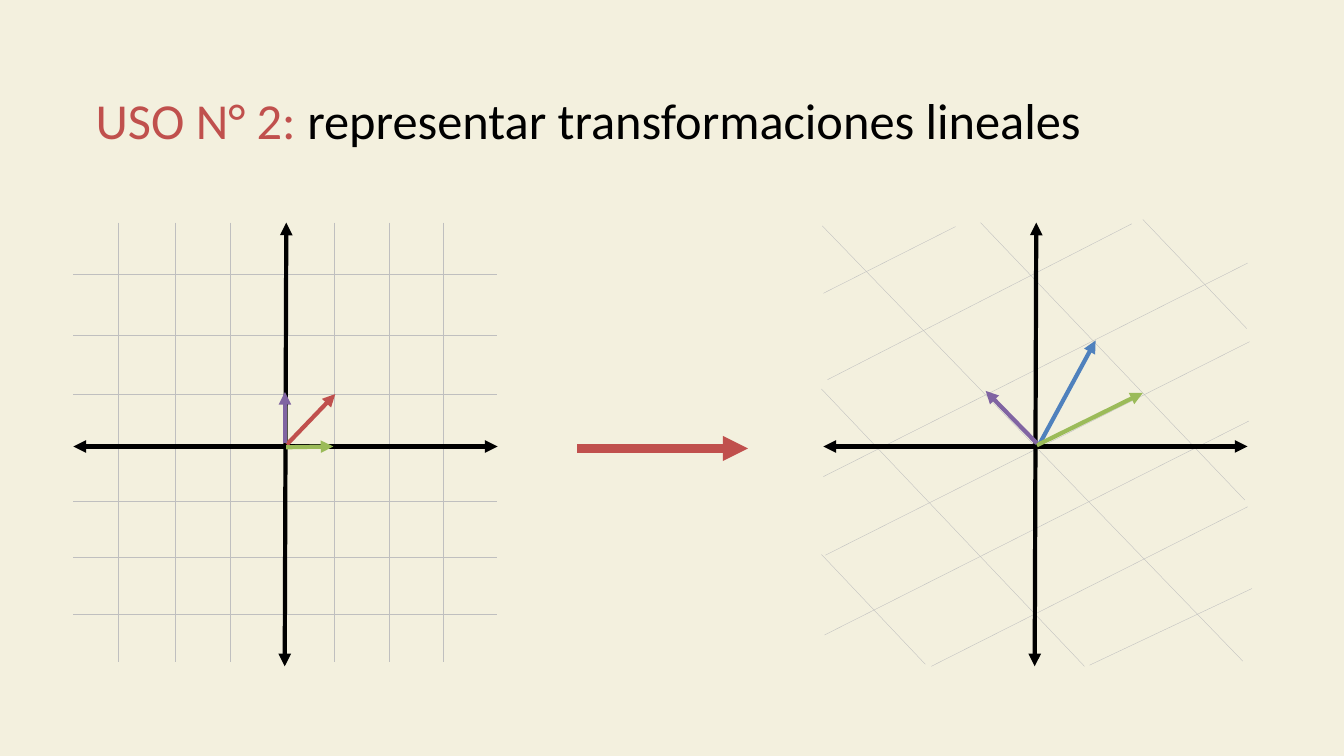
from lxml import etree
from pptx import Presentation
from pptx.dml.color import RGBColor
from pptx.enum import shapes, text
from pptx.oxml.ns import qn
from pptx.util import Cm, Pt

BLACK, GREY, RED = "000000", "BFBFBF", "C0504D"
BLUE, GREEN, PURPLE = "4F81BD", "9BBB59", "8064A2"
PLANE_WIDTH, PLANE_HEIGHT = 10.69, 11.18

# Grid lines and vectors: x1, y1, x2, y2 in cm from the plane's top left corner
SQUARE_GRID = [(x, 0, x, 11.07) for x in (1.14, 2.57, 3.96, 6.58, 7.95, 9.32)]
SQUARE_GRID += [(0, y, 10.67, y) for y in (1.3, 2.84, 4.32, 7.01, 8.43, 9.86)]
SLANTED_GRID = [
    # Falling lines
    (-0.03, 0.08, 10.57, 11.05),
    (3.96, 0, 10.62, 6.99),
    (8.05, -0.08, 10.67, 2.67),
    (-0.05, 4.19, 6.58, 11.18),
    (-0.05, 8.36, 2.57, 11.13),
    # Rising lines
    (0.05, 8.38, 10.74, 3),
    (0, 6.4, 10.69, 1.02),
    (0.1, 3.96, 7.77, 0.03),
    (0, 1.78, 3.33, 0.1),
    (0.03, 10.39, 10.72, 5),
    (2.72, 11.18, 10.69, 7.16),
    (6.71, 11.15, 10.8, 9.22),
]
BASE_VECTORS = [
    (RED, (5.38, 5.59, 6.6, 4.32)),
    (PURPLE, (5.33, 5.56, 5.33, 4.27)),
    (GREEN, (5.36, 5.66, 6.55, 5.64)),
]
MAPPED_VECTORS = [
    (BLUE, (5.44, 5.59, 6.86, 2.97)),
    (GREEN, (5.38, 5.61, 8.05, 4.29)),
    (PURPLE, (5.38, 5.56, 4.09, 4.24)),
]


def color(value):
    return RGBColor.from_string(value)


def add_line(page, left, top, ends, line_color, width, arrows=()):
    x1, y1, x2, y2 = ends
    line = page.shapes.add_connector(
        shapes.MSO_CONNECTOR.STRAIGHT,
        Cm(left + x1), Cm(top + y1), Cm(left + x2), Cm(top + y2))
    line.line.color.rgb = color(line_color)
    line.line.width = Pt(width)
    properties = line._element.spPr
    for arrow in arrows:
        etree.SubElement(properties.find(qn("a:ln")), qn(f"a:{arrow}"), type="triangle")
    etree.SubElement(properties, qn("a:effectLst"))


def add_title(page, left, top, width, height):
    box = page.shapes.add_textbox(Cm(left), Cm(top), Cm(width), Cm(height))
    box.text_frame.word_wrap = True
    box.text_frame.auto_size = text.MSO_AUTO_SIZE.SHAPE_TO_FIT_TEXT
    para = box.text_frame.paragraphs[0]
    for words, shade in (("USO N° 2: ", RED),
                         ("representar transformaciones lineales", BLACK)):
        span = para.add_run()
        span.text = words
        span.font.name = "Calibri"
        span.font.size = Pt(36)
        span.font.color.rgb = color(shade)


def add_plane(page, left, top, width, height, grid, vectors):
    # Grid
    for ends in grid:
        add_line(page, left, top, ends, GREY, 0.25)
    # Axes
    axis_y = 5.64
    for ends in ((0, axis_y, width, axis_y),
                 (width / 2 + 0.02, 0, width / 2 - 0.02, height)):
        add_line(page, left, top, ends, BLACK, 3, ("headEnd", "tailEnd"))
    # Vectors
    for shade, ends in vectors:
        add_line(page, left, top, ends, shade, 3, ("tailEnd",))


def main():
    deck = Presentation()
    deck.slide_width, deck.slide_height = Cm(33.87), Cm(19.05)
    page = deck.slides.add_slide(deck.slide_layouts[6])
    page.background.fill.solid()
    page.background.fill.fore_color.rgb = color("F3F0DE")

    add_title(page, 2.16, 2.11, 28.96, 1.8)
    for left, grid, vectors in ((1.85, SQUARE_GRID, BASE_VECTORS),
                                (20.75, SLANTED_GRID, MAPPED_VECTORS)):
        add_plane(page, left, 5.61, PLANE_WIDTH, PLANE_HEIGHT, grid, vectors)
    # Transformation arrow between the planes
    add_line(page, 14.55, 11.3, (0, 0, 4.3, 0), RED, 6, ("tailEnd",))

    deck.save("out.pptx")


if __name__ == "__main__":
    main()
